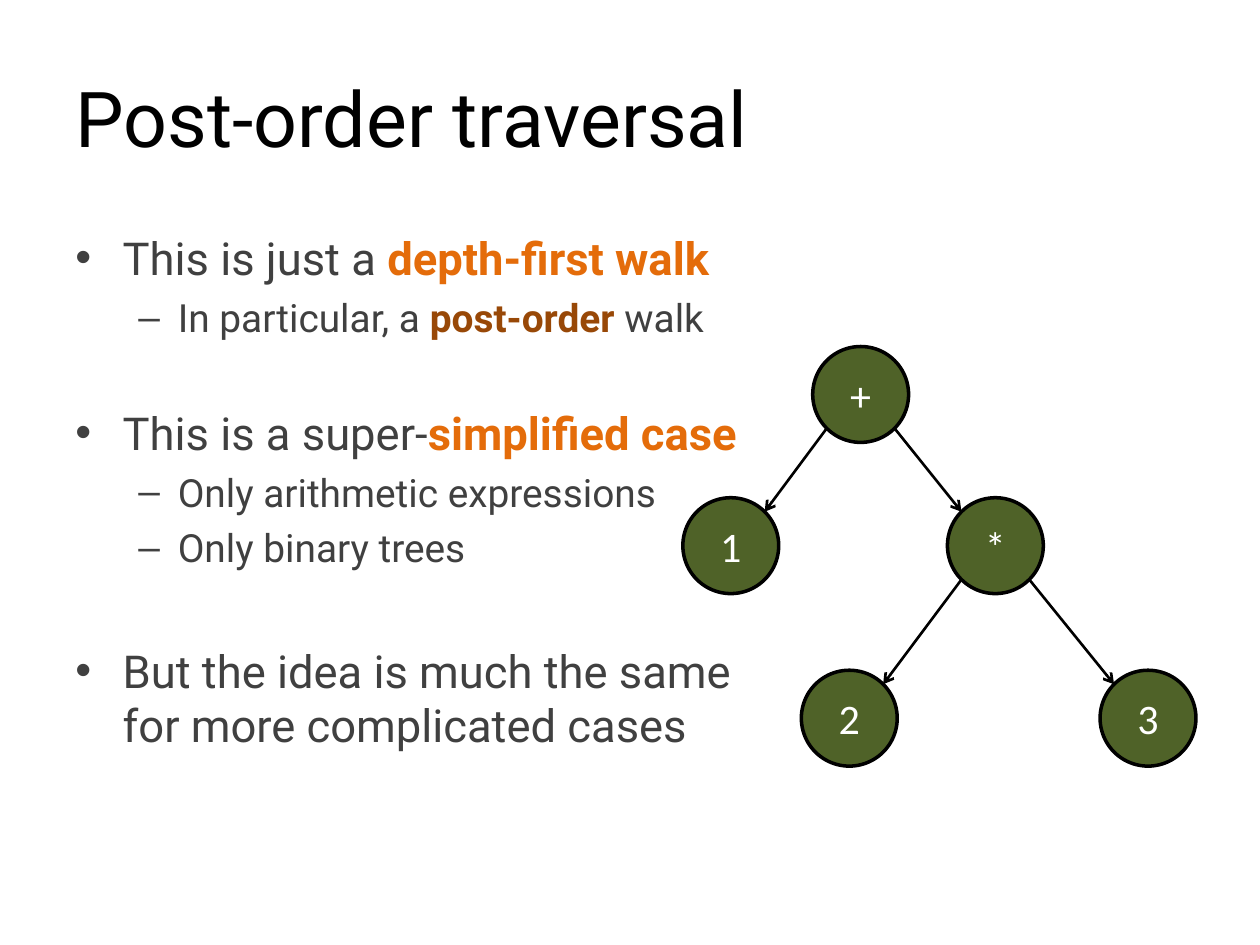
from dataclasses import dataclass
from math import sqrt

from lxml.etree import SubElement
from pptx import Presentation
from pptx.dml.color import RGBColor
from pptx.enum.shapes import MSO_CONNECTOR, MSO_SHAPE
from pptx.enum.text import MSO_ANCHOR, PP_ALIGN
from pptx.oxml.ns import qn
from pptx.util import Pt

LINE = MSO_CONNECTOR.STRAIGHT
OVAL = MSO_SHAPE.OVAL
MID = MSO_ANCHOR.MIDDLE
LEFT, CENTER = PP_ALIGN.LEFT, PP_ALIGN.CENTER


@dataclass(frozen=True)
class Theme:
    black: str = "000000"
    white: str = "FFFFFF"
    gray: str = "404040"
    orange: str = "E46C0A"
    brown: str = "984807"
    green: str = "4F6228"
    sans: str = "Roboto"
    label: str = "Calibri"
    title: float = 44
    levels: tuple = (25.9, 22.2)
    node: float = 24


class Deck:
    """Draw titles, bullet lists and trees on a slide in one style."""

    def __init__(self, theme, prs):
        self.theme = theme
        self.slide = prs.slides.add_slide(prs.slide_layouts[6])

    def run(self, para, text, size, color, font, bold=False):
        run = para.add_run()
        run.text = text
        run.font.size = Pt(size)
        run.font.name = font
        run.font.bold = bold
        run.font.color.rgb = RGBColor.from_string(color)

    def box(self, x, y, w, h):
        shape = self.slide.shapes.add_textbox(Pt(x), Pt(y), Pt(w), Pt(h))
        shape.text_frame.word_wrap = True
        return shape.text_frame

    def title(self, text, *area):
        frame = self.box(*area)
        frame.vertical_anchor = MID
        para = frame.paragraphs[0]
        para.alignment = LEFT
        self.run(para, text, self.theme.title, self.theme.black, self.theme.sans)

    def list(self, items, *area):
        frame = self.box(*area)
        frame.margin_top = Pt(5.4)
        for i, (level, gap, parts) in enumerate(items):
            para = frame.add_paragraph() if i else frame.paragraphs[0]
            para.level = level
            para.space_before = Pt(gap)
            props = para._p.get_or_add_pPr()
            indent, hang = ((27, 27), (58.5, 22.5))[level]
            props.set("marL", str(Pt(indent)))
            props.set("indent", str(-Pt(hang)))
            SubElement(props, qn("a:buFont"), typeface="Arial")
            SubElement(props, qn("a:buChar"), char="•–"[level])
            for text, color in parts:
                self.run(para, text, self.theme.levels[level], color,
                         self.theme.sans, color != self.theme.gray)

    def node(self, text, x, y, size):
        shape = self.slide.shapes.add_shape(
            OVAL, Pt(x - size / 2), Pt(y - size / 2), Pt(size), Pt(size))
        shape.shadow.inherit = False
        shape.fill.solid()
        shape.fill.fore_color.rgb = RGBColor.from_string(self.theme.green)
        shape.line.color.rgb = RGBColor.from_string(self.theme.black)
        shape.line.width = Pt(2)
        shape.text_frame.vertical_anchor = MID
        para = shape.text_frame.paragraphs[0]
        para.alignment = CENTER
        self.run(para, text, self.theme.node, self.theme.white, self.theme.label)

    def arrow(self, x1, y1, x2, y2):
        line = self.slide.shapes.add_connector(
            LINE, Pt(x1), Pt(y1), Pt(x2), Pt(y2))
        line.line.color.rgb = RGBColor.from_string(self.theme.black)
        line.line.width = Pt(1.5)
        SubElement(line.line._get_or_add_ln(), qn("a:tailEnd"), type="arrow")
        SubElement(line._element.spPr, qn("a:effectLst"))

    def tree(self, nodes, edges, size):
        for text, (x, y) in nodes.items():
            self.node(text, x, y, size)
        reach = size / 2 / sqrt(2)
        for top, low in edges:
            (x1, y1), (x2, y2) = nodes[top], nodes[low]
            side = reach if x2 > x1 else -reach
            self.arrow(x1 + side, y1 + reach, x2 - side, y2 - reach)


def main():
    prs = Presentation()
    prs.slide_width, prs.slide_height = Pt(720), Pt(540)
    theme = Theme()
    deck = Deck(theme, prs)
    gray, orange, brown = theme.gray, theme.orange, theme.brown
    deck.title("Post-order traversal", 36, 21.6, 648, 90)
    deck.list([
        (0, 0, [("This is just a ", gray), ("depth-first walk", orange)]),
        (1, 5.2, [("In particular, a ", gray), ("post-order ", brown),
                  ("walk", gray)]),
        (0, 36.9, [("This is a super-", gray), ("simplified case", orange)]),
        (1, 5.2, [("Only arithmetic expressions", gray)]),
        (1, 5.2, [("Only binary trees", gray)]),
        (0, 41.4, [("But the idea is much the same for more "
                    "complicated cases", gray)]),
    ], 36, 126, 409, 356.4)
    nodes = {"+": (491.8, 225.4), "1": (417.6, 311.8), "*": (568.8, 311.8),
             "2": (485.3, 410.4), "3": (656, 410.4)}
    deck.tree(nodes, ["+1", "+*", "*2", "*3"], 54.8)
    prs.save("out.pptx")


if __name__ == "__main__":
    main()
